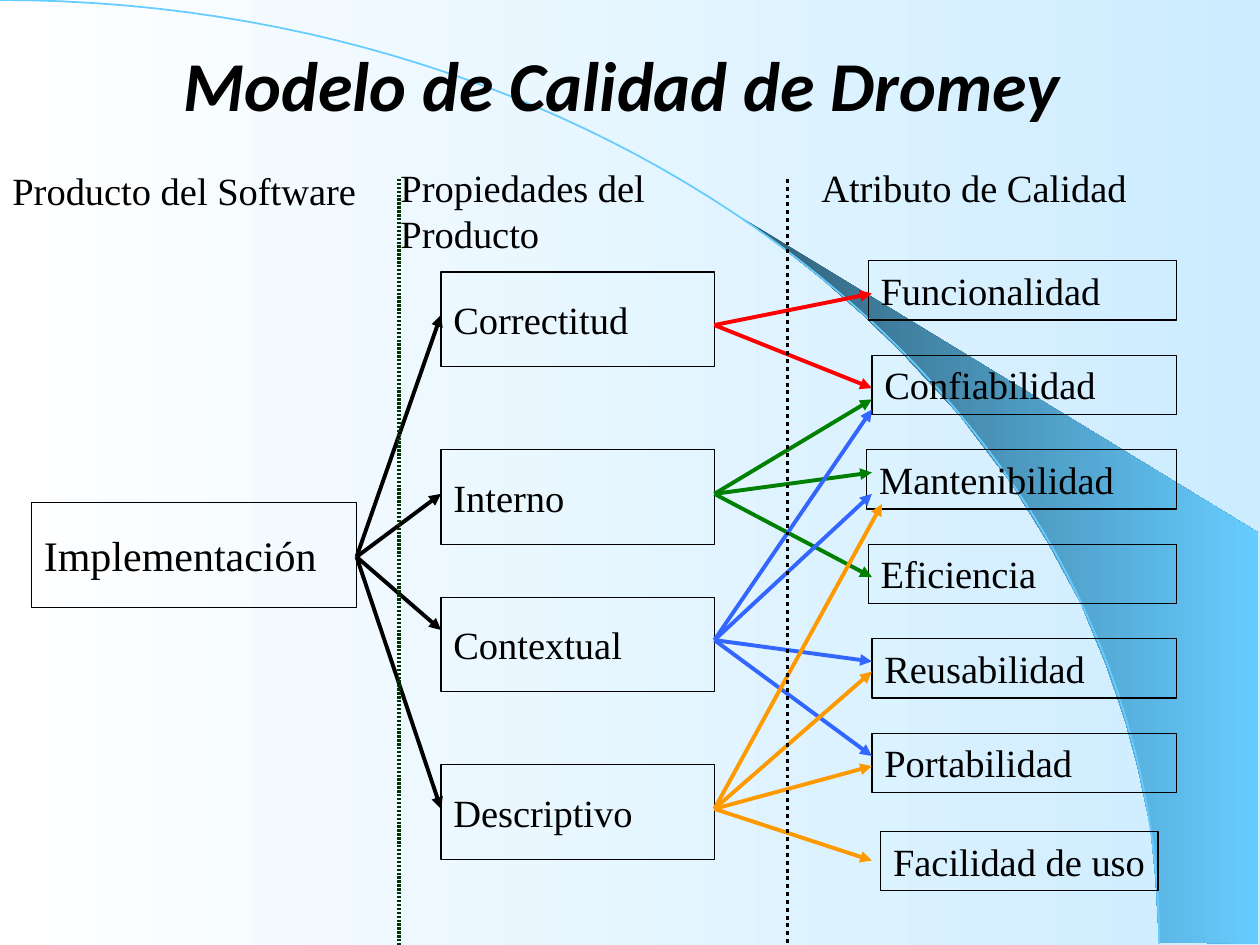
from dataclasses import dataclass

import pptx
import pptx.util
from lxml import etree
from pptx.dml.color import RGBColor
from pptx.enum.dml import MSO_LINE
from pptx.enum.shapes import MSO_CONNECTOR, MSO_SHAPE
from pptx.enum.text import MSO_ANCHOR, MSO_AUTO_SIZE, PP_ALIGN
from pptx.oxml.ns import qn
from pptx.util import Inches

BLACK = RGBColor(0x00, 0x00, 0x00)
WHITE = RGBColor(0xFF, 0xFF, 0xFF)
RED = RGBColor(0xFF, 0x00, 0x00)
GREEN = RGBColor(0x00, 0x80, 0x00)
DARK_GREEN = RGBColor(0x00, 0x33, 0x00)
BLUE = RGBColor(0x33, 0x66, 0xFF)
ORANGE = RGBColor(0xFF, 0x99, 0x00)
PALE_BLUE = RGBColor(0xCC, 0xEC, 0xFF)
SKY = RGBColor(0x66, 0xCC, 0xFF)
DEEP_SKY = RGBColor(0x2F, 0x5E, 0x76)

SERIF = "Times New Roman"
Point = tuple[float, float]


@dataclass
class Label:
    text: str
    left: float
    top: float
    width: float
    height: float
    size: int = 22
    anchor: MSO_ANCHOR = MSO_ANCHOR.MIDDLE
    wrap: bool = True


@dataclass
class Fan:
    """Arrows that leave one point for several ends."""
    start: Point
    colour: RGBColor
    ends: list[Point]


PROPERTY_BOXES = [
    Label(text, 3.5, top, 2.17, 0.75)
    for text, top in [("Correctitud", 2.16), ("Interno", 3.57),
                      ("Contextual", 4.74), ("Descriptivo", 6.07)]
]
ATTRIBUTE_BOXES = [
    Label(text, left, 2.07 + 0.75 * row, 9.34 - left, 0.47, anchor=MSO_ANCHOR.TOP)
    for row, (text, left) in enumerate([
        ("Funcionalidad", 6.89), ("Confiabilidad", 6.92), ("Mantenibilidad", 6.88),
        ("Eficiencia", 6.89), ("Reusabilidad", 6.92), ("Portabilidad", 6.92)])
]
BOXES = [
    Label("Implementación", 0.25, 3.99, 2.58, 0.83, size=24),
    *PROPERTY_BOXES,
    *ATTRIBUTE_BOXES,
    Label("Facilidad de uso", 6.99, 6.6, 2.2, 0.47, anchor=MSO_ANCHOR.TOP, wrap=False),
]
HEADINGS = [
    Label("Producto del Software", 0, 1.28, 3.25, 0.47, anchor=MSO_ANCHOR.TOP),
    Label("Propiedades del Producto", 3.08, 1.25, 3.25, 0.84, anchor=MSO_ANCHOR.TOP),
    Label("Atributo de Calidad", 6.42, 1.25, 3.25, 0.47, anchor=MSO_ANCHOR.TOP),
]
FANS = [
    Fan((2.83, 4.42), BLACK, [(3.5, y) for y in (2.5, 3.92, 5, 6.42)]),
    Fan((5.67, 2.58), RED, [(6.92, y) for y in (2.33, 3.08)]),
    Fan((5.67, 3.92), GREEN, [(6.92, y) for y in (3.75, 4.58, 3.17)]),
    Fan((5.67, 5.08), BLUE, [(6.92, y) for y in (3.92, 5.25, 6, 3.25)]),
    Fan((5.67, 6.42), ORANGE, [(6.92, 6.83), (6.92, 6.08), (6.92, 5.33), (7, 4)]),
]
WEDGE = [
    (9.2, 7.48), (9.99, 7.49), (9.99, 4.23), (5.89, 1.73), (6.24, 1.99), (6.53, 2.22),
    (6.85, 2.5), (7.16, 2.8), (7.62, 3.3), (8.03, 3.84), (8.32, 4.31), (8.58, 4.79),
    (8.78, 5.28), (8.93, 5.72), (9.03, 6.09), (9.13, 6.56), (9.17, 6.96),
]
ARC_CONTROLS = [(0, 0), (5.08, 0), (9.2, 3.35), (9.2, 7.49)]


def bezier(controls: list[Point], steps: int) -> list[Point]:
    """Points along a cubic curve."""
    curve = []
    for step in range(steps + 1):
        t = step / steps
        weights = ((1 - t) ** 3, 3 * t * (1 - t) ** 2, 3 * t * t * (1 - t), t ** 3)
        curve.append(tuple(sum(w * point[axis] for w, point in zip(weights, controls))
                           for axis in (0, 1)))
    return curve


def set_gradient(fill, first: RGBColor, last: RGBColor) -> None:
    fill.gradient()
    fill.gradient_angle = 0
    for stop, colour, position in zip(fill.gradient_stops, (first, last), (0, 1)):
        stop.color.rgb = colour
        stop.position = position


def add_outline(slide, points: list[Point], close: bool):
    places = [(Inches(x), Inches(y)) for x, y in points]
    builder = slide.shapes.build_freeform(*places[0], scale=1.0)
    builder.add_line_segments(places[1:], close=close)
    shape = builder.convert_to_shape()
    shape.shadow.inherit = False
    return shape


def write_text(shape, label: Label, font: str = SERIF, title: bool = False) -> None:
    frame = shape.text_frame
    frame.word_wrap = label.wrap
    frame.vertical_anchor = label.anchor
    if label.anchor == MSO_ANCHOR.TOP:
        frame.auto_size = MSO_AUTO_SIZE.SHAPE_TO_FIT_TEXT
    para = frame.paragraphs[0]
    para.alignment = PP_ALIGN.CENTER if title else PP_ALIGN.LEFT
    span = para.add_run()
    span.text = label.text
    span.font.name = font
    span.font.size = pptx.util.Pt(label.size)
    span.font.bold = span.font.italic = title
    span.font.color.rgb = BLACK


def place(label: Label) -> list[int]:
    return [Inches(n) for n in (label.left, label.top, label.width, label.height)]


def add_box(slide, label: Label) -> None:
    box = slide.shapes.add_shape(MSO_SHAPE.RECTANGLE, *place(label))
    box.shadow.inherit = False
    box.fill.background()
    box.line.color.rgb = BLACK
    box.line.width = pptx.util.Pt(0.75)
    write_text(box, label)


def add_line(slide, start: Point, end: Point, colour: RGBColor):
    line = slide.shapes.add_connector(
        MSO_CONNECTOR.STRAIGHT, *[Inches(n) for n in (*start, *end)])
    line.line.color.rgb = colour
    line.line.width = pptx.util.Pt(2.25)
    etree.SubElement(line._element.spPr, qn("a:effectLst"))
    return line


def add_arrow(slide, start: Point, end: Point, colour: RGBColor) -> None:
    arrow = add_line(slide, start, end, colour)
    etree.SubElement(arrow.line._get_or_add_ln(), qn("a:tailEnd"), type="triangle")


def main() -> None:
    deck = pptx.Presentation()
    deck.slide_width, deck.slide_height = Inches(10), Inches(7.5)
    slide = deck.slides.add_slide(deck.slide_layouts[6])

    # Background and its curved decoration
    set_gradient(slide.background.fill, WHITE, PALE_BLUE)
    wedge = add_outline(slide, WEDGE, close=True)
    set_gradient(wedge.fill, DEEP_SKY, SKY)
    wedge.line.fill.background()
    arc = add_outline(slide, bezier(ARC_CONTROLS, 60), close=False)
    arc.fill.background()
    arc.line.color.rgb = SKY
    arc.line.width = pptx.util.Pt(1)

    # Title
    title = Label("Modelo de Calidad de Dromey ", 0.33, 0.08, 9.33, 1.17, size=40)
    write_text(slide.shapes.add_textbox(*place(title)), title, "Calibri", title=True)

    # Model boxes and the arrows between them
    for label in BOXES:
        add_box(slide, label)
    for fan in FANS:
        for end in fan.ends:
            add_arrow(slide, fan.start, end, fan.colour)

    # Column dividers: fine dots on the left, square dots on the right
    left_divider = add_line(slide, (3.17, 1.42), (3.17, 7.5), DARK_GREEN)
    dashes = etree.SubElement(left_divider.line._get_or_add_ln(), qn("a:custDash"))
    etree.SubElement(dashes, qn("a:ds"), d="60000", sp="40000")
    right_divider = add_line(slide, (6.25, 1.42), (6.25, 7.5), BLACK)
    right_divider.line.dash_style = MSO_LINE.ROUND_DOT

    # Column headings
    for label in HEADINGS:
        write_text(slide.shapes.add_textbox(*place(label)), label)

    deck.save("out.pptx")


if __name__ == "__main__":
    main()
